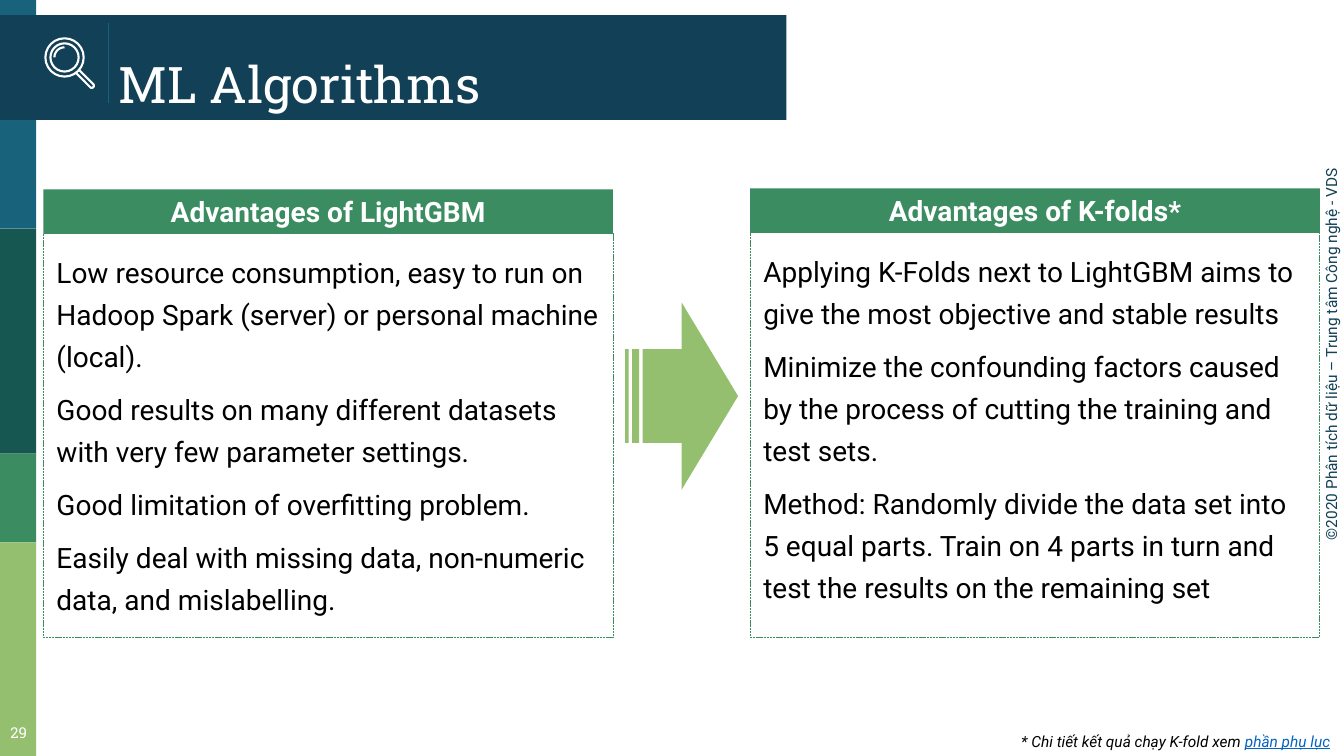
from math import cos, pi, sin

from lxml.etree import SubElement
from pptx import Presentation
from pptx.dml.color import RGBColor
from pptx.enum.dml import MSO_LINE
from pptx.enum.shapes import MSO_CONNECTOR, MSO_SHAPE
from pptx.enum.text import MSO_ANCHOR, PP_ALIGN
from pptx.oxml.ns import qn
from pptx.util import Inches, Pt

NAVY = RGBColor(0x12, 0x40, 0x57)
TEAL = RGBColor(0x18, 0x63, 0x7B)
PINE = RGBColor(0x16, 0x57, 0x51)
GREEN = RGBColor(0x3B, 0x8D, 0x61)
LIME = RGBColor(0x94, 0xBF, 0x6E)
BLACK = RGBColor(0, 0, 0)
WHITE = RGBColor(0xFF, 0xFF, 0xFF)
LINK_BLUE = RGBColor(0x05, 0x63, 0xC1)

LIGHTGBM_ADVANTAGES = [
    "Low resource consumption, easy to run on Hadoop Spark (server) or personal machine (local).",
    "Good results on many different datasets with very few parameter settings.",
    "Good limitation of overfitting problem.",
    "Easily deal with missing data, non-numeric data, and mislabelling.",
]
KFOLDS_ADVANTAGES = [
    "Applying K-Folds next to LightGBM aims to give the most objective and stable results",
    "Minimize the confounding factors caused by the process of cutting the training and test sets.",
    "Method: Randomly divide the data set into 5 equal parts. Train on 4 parts in turn and "
    "test the results on the remaining set",
]


def write(holder, paragraphs, size=20, font="Roboto", color=BLACK, bold=False, italic=False,
          align=PP_ALIGN.LEFT, anchor=MSO_ANCHOR.TOP, inset=None, spacing=None, before=0,
          wrap=True):
    """Fill a shape with formatted paragraphs."""
    frame = holder.text_frame
    frame.word_wrap = wrap
    frame.vertical_anchor = anchor
    if inset is not None:
        frame.margin_left = frame.margin_right = Inches(inset)
        frame.margin_top = frame.margin_bottom = Inches(inset)
    for index, text in enumerate(paragraphs):
        paragraph = frame.add_paragraph() if index else frame.paragraphs[0]
        paragraph.alignment = align
        paragraph.line_spacing = spacing
        if index:
            paragraph.space_before = Pt(before)
        run = paragraph.add_run()
        run.text = text
        run.font.name = font
        run.font.size = Pt(size)
        run.font.bold = bold
        run.font.italic = italic
        run.font.color.rgb = color


def style(shape, fill=None, line=None, weight=0.5, dash=None):
    """Set the fill and outline of a shape without shadow."""
    shape.shadow.inherit = False
    if fill is None:
        shape.fill.background()
    else:
        shape.fill.solid()
        shape.fill.fore_color.rgb = fill
    if line is None:
        shape.line.fill.background()
    else:
        shape.line.color.rgb = line
        shape.line.width = Pt(weight)
        if dash is not None:
            shape.line.dash_style = dash
    return shape


def add_block(slide, left, top, width, height, kind=MSO_SHAPE.RECTANGLE, **look):
    """Add a styled preset shape."""
    box = [Inches(value) for value in (left, top, width, height)]
    return style(slide.shapes.add_shape(kind, *box), **look)


def add_label(slide, left, top, width, height, text, **format):
    """Add a text box holding one paragraph."""
    box = [Inches(value) for value in (left, top, width, height)]
    label = slide.shapes.add_textbox(*box)
    write(label, [text], **format)
    return label


def add_stroke(slide, points):
    """Add an open white outline through the points."""
    corners = [(Inches(x), Inches(y)) for x, y in points]
    builder = slide.shapes.build_freeform(*corners[0], scale=1.0)
    builder.add_line_segments(corners[1:], close=False)
    style(builder.convert_to_shape(), line=WHITE, weight=1.5)


def add_sidebar(slide):
    """Stack the coloured strips along the left edge."""
    top = 0
    for height, color in [(2.27, TEAL), (2.23, PINE), (0.88, GREEN), (2.12, LIME)]:
        add_block(slide, 0, top, 0.36, height, fill=color)
        top += height


def add_magnifier(slide):
    """Draw the search icon from two rings, a glint and a handle."""
    center_x, center_y = 0.64, 0.57
    for radius in (0.19, 0.14):
        add_block(slide, center_x - radius, center_y - radius, 2 * radius, 2 * radius,
                  kind=MSO_SHAPE.OVAL, line=WHITE, weight=1.5)
    angles = [pi + step * pi / 24 for step in range(13)]
    add_stroke(slide, [(center_x + 0.1 * cos(a), center_y + 0.1 * sin(a)) for a in angles])
    add_stroke(slide, [(0.75, 0.72), (0.9, 0.87), (0.91, 0.87), (0.92, 0.87),
                       (0.93, 0.86), (0.93, 0.85), (0.93, 0.84), (0.78, 0.69)])


def add_divider(slide, x, top, bottom):
    """Add the thin vertical line beside the icon."""
    divider = slide.shapes.add_connector(
        MSO_CONNECTOR.STRAIGHT, Inches(x), Inches(top), Inches(x), Inches(bottom))
    divider.line.color.rgb = TEAL
    divider.line.width = Pt(0.75)
    SubElement(divider._element.spPr, qn("a:effectLst"))


def add_panel(slide, left, top, heading, advantages):
    """Add a heading bar above a dashed box of paragraphs."""
    width, bar, bottom = 5.65, 0.44, 6.32
    body = add_block(slide, left, top + bar, width, bottom - top - bar,
                     line=GREEN, dash=MSO_LINE.SQUARE_DOT)
    write(body, advantages, inset=0.13, spacing=Pt(30), before=8)
    header = add_block(slide, left, top, width, bar, fill=GREEN)
    write(header, [heading], color=WHITE, bold=True, align=PP_ALIGN.CENTER)


def main():
    """Build and save the slide."""
    deck = Presentation()
    deck.slide_width, deck.slide_height = Inches(13.33), Inches(7.5)
    slide = deck.slides.add_slide(deck.slide_layouts[6])

    add_sidebar(slide)
    add_block(slide, 0, 0.15, 7.8, 1.04, fill=NAVY)
    add_magnifier(slide)
    add_divider(slide, 1.08, 0.23, 1.02)
    add_label(slide, 1.08, 0.48, 6.48, 0.71, "ML Algorithms",
              size=36, font="Roboto Slab", color=WHITE)

    add_panel(slide, 0.43, 1.88, "Advantages of LightGBM", LIGHTGBM_ADVANTAGES)
    add_block(slide, 6.2, 3, 1.12, 1.86, kind=MSO_SHAPE.STRIPED_RIGHT_ARROW, fill=LIME)
    add_panel(slide, 7.44, 1.87, "Advantages of K-folds*", KFOLDS_ADVANTAGES)

    copyright_line = add_label(slide, 11.26, 3.37, 3.89, 0.29,
                               "©2020 Phân tích dữ liệu – Trung tâm Công nghệ - VDS",
                               size=11, color=NAVY, wrap=False)
    copyright_line.rotation = 270
    add_label(slide, -0.07, 7.03, 0.51, 0.47, "29", size=10.7, font="Roboto Slab",
              color=WHITE, align=PP_ALIGN.CENTER, anchor=MSO_ANCHOR.MIDDLE, inset=0.13)

    footnote = add_label(slide, 10.03, 7.21, 3.3, 0.29, "* Chi tiết kết quả chạy K-fold xem ",
                         size=11, italic=True)
    appendix = footnote.text_frame.paragraphs[0].add_run()
    appendix.text = "phần phụ lục"
    appendix.font.name = "Roboto"
    appendix.font.size = Pt(11)
    appendix.font.italic = appendix.font.underline = True
    appendix.font.color.rgb = LINK_BLUE

    deck.save("out.pptx")


if __name__ == "__main__":
    main()
